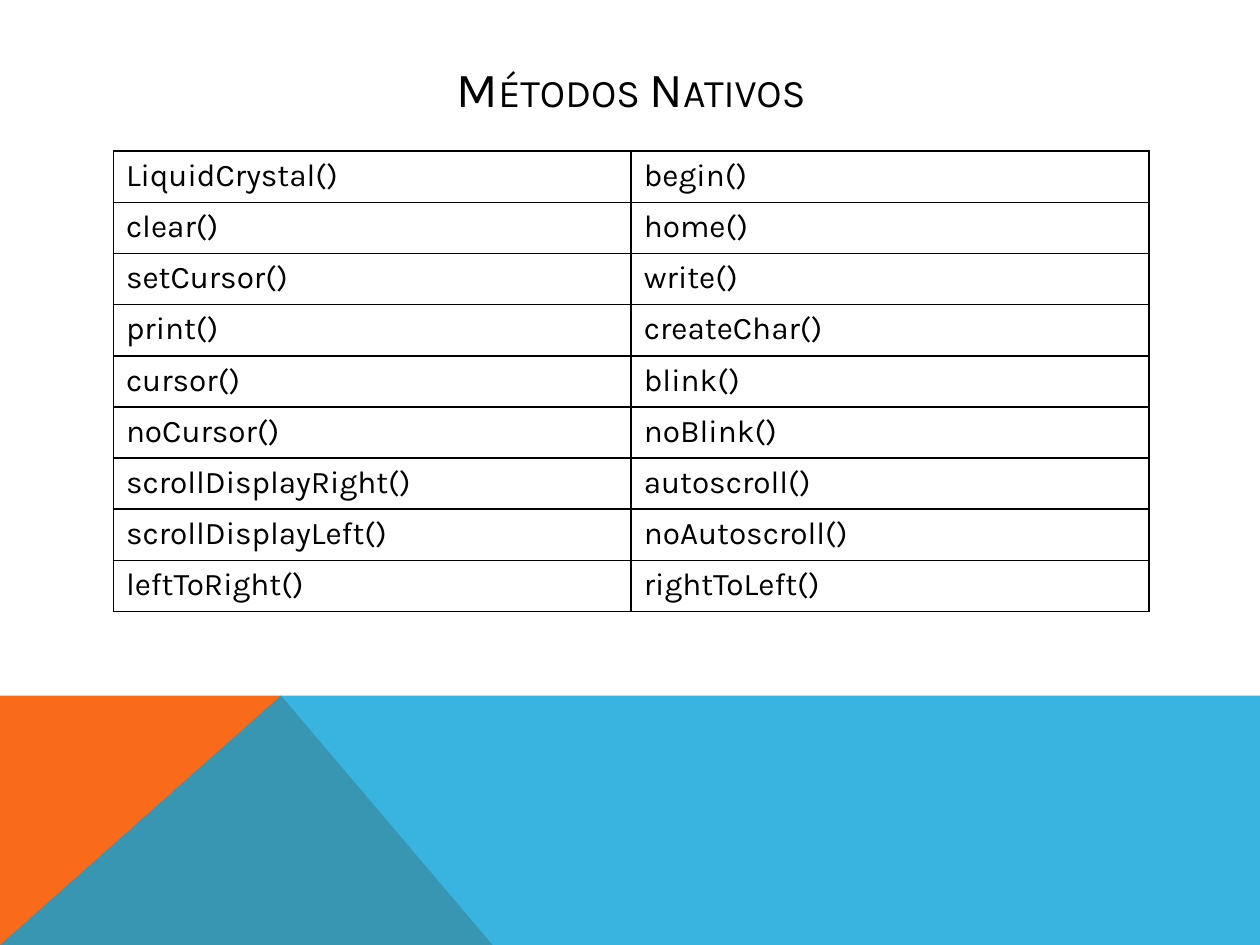
"""Builds the slide that lists the native methods of the display library."""
import pptx
import pptx.dml.color
import pptx.enum.text
import pptx.oxml
import pptx.oxml.ns
import pptx.util
import lxml.etree

Inches = pptx.util.Inches
ALIGN = pptx.enum.text.PP_ALIGN
ANCHOR = pptx.enum.text.MSO_ANCHOR
qn = pptx.oxml.ns.qn

TITLE = "Métodos Nativos"
METHODS = [
    ("LiquidCrystal()", "begin()"),
    ("clear()", "home()"),
    ("setCursor()", "write()"),
    ("print()", "createChar()"),
    ("cursor()", "blink()"),
    ("noCursor()", "noBlink()"),
    ("scrollDisplayRight()", "autoscroll()"),
    ("scrollDisplayLeft()", "noAutoscroll()"),
    ("leftToRight()", "rightToLeft()"),
]
FONT = "Karla"
BLACK = "000000"
WIDTH, HEIGHT = 10, 7.5
BAND_TOP, PEAK = 5.52, 2.23
BANDS = [
    ([(0, HEIGHT), (0, BAND_TOP), (PEAK, BAND_TOP), (3.91, HEIGHT)], "F96A1B", 100),
    ([(0, HEIGHT), (PEAK, BAND_TOP), (WIDTH, BAND_TOP), (WIDTH, HEIGHT)], "08A1D9", 80),
]
TABLE_LEFT, TABLE_TOP = 0.9, 1.2
COLUMN_WIDTH, ROW_HEIGHT = 4.11, 0.406


def color(value):
    return pptx.dml.color.RGBColor.from_string(value)


def write(frame, text, size=18, align=ALIGN.LEFT, small_caps=False):
    paragraph = frame.paragraphs[0]
    paragraph.alignment = align
    run = paragraph.add_run()
    run.text = text
    run.font.name = FONT
    run.font.size = pptx.util.Pt(size)
    run.font.color.rgb = color(BLACK)
    if small_caps:
        run.font._element.set("cap", "small")


def draw_band(slide, points, fill, opacity):
    start, *others = [(Inches(x), Inches(y)) for x, y in points]
    builder = slide.shapes.build_freeform(*start)
    builder.add_line_segments(others, close=True)
    band = builder.convert_to_shape()
    band.shadow.inherit = False
    band.line.fill.background()
    band.fill.solid()
    band.fill.fore_color.rgb = color(fill)
    if opacity < 100:
        rgb = band._element.spPr.find(qn("a:solidFill")).find(qn("a:srgbClr"))
        lxml.etree.SubElement(rgb, qn("a:alpha")).set("val", str(opacity * 1000))


def add_borders(cell):
    properties = cell._tc.get_or_add_tcPr()
    for position, side in enumerate(("lnL", "lnR", "lnT", "lnB")):
        border = pptx.oxml.parse_xml(
            f'<a:{side} xmlns:a="http://schemas.openxmlformats.org/drawingml/2006/main" '
            f'w="{pptx.util.Pt(1)}"><a:solidFill><a:srgbClr val="{BLACK}"/>'
            f'</a:solidFill></a:{side}>'
        )
        properties.insert(position, border)


deck = pptx.Presentation()
deck.slide_width, deck.slide_height = Inches(WIDTH), Inches(HEIGHT)
slide = deck.slides.add_slide(deck.slide_layouts[5])

for points, fill, opacity in BANDS:
    draw_band(slide, points, fill, opacity)

heading = slide.shapes.title
heading.left, heading.top = Inches(0.9), Inches(0.4)
heading.width, heading.height = Inches(8.22), Inches(0.6)
heading.text_frame.vertical_anchor = ANCHOR.MIDDLE
write(heading.text_frame, TITLE, size=28, align=ALIGN.CENTER, small_caps=True)

row_count, column_count = len(METHODS), len(METHODS[0])
methods_table = slide.shapes.add_table(
    row_count, column_count, Inches(TABLE_LEFT), Inches(TABLE_TOP),
    Inches(COLUMN_WIDTH * column_count), Inches(ROW_HEIGHT * row_count),
).table
methods_table.first_row = methods_table.horz_banding = False
for column in methods_table.columns:
    column.width = Inches(COLUMN_WIDTH)
for row, names in zip(methods_table.rows, METHODS):
    row.height = Inches(ROW_HEIGHT)
    for cell, name in zip(row.cells, names):
        write(cell.text_frame, name)
        cell.fill.background()
        add_borders(cell)

deck.save("out.pptx")
